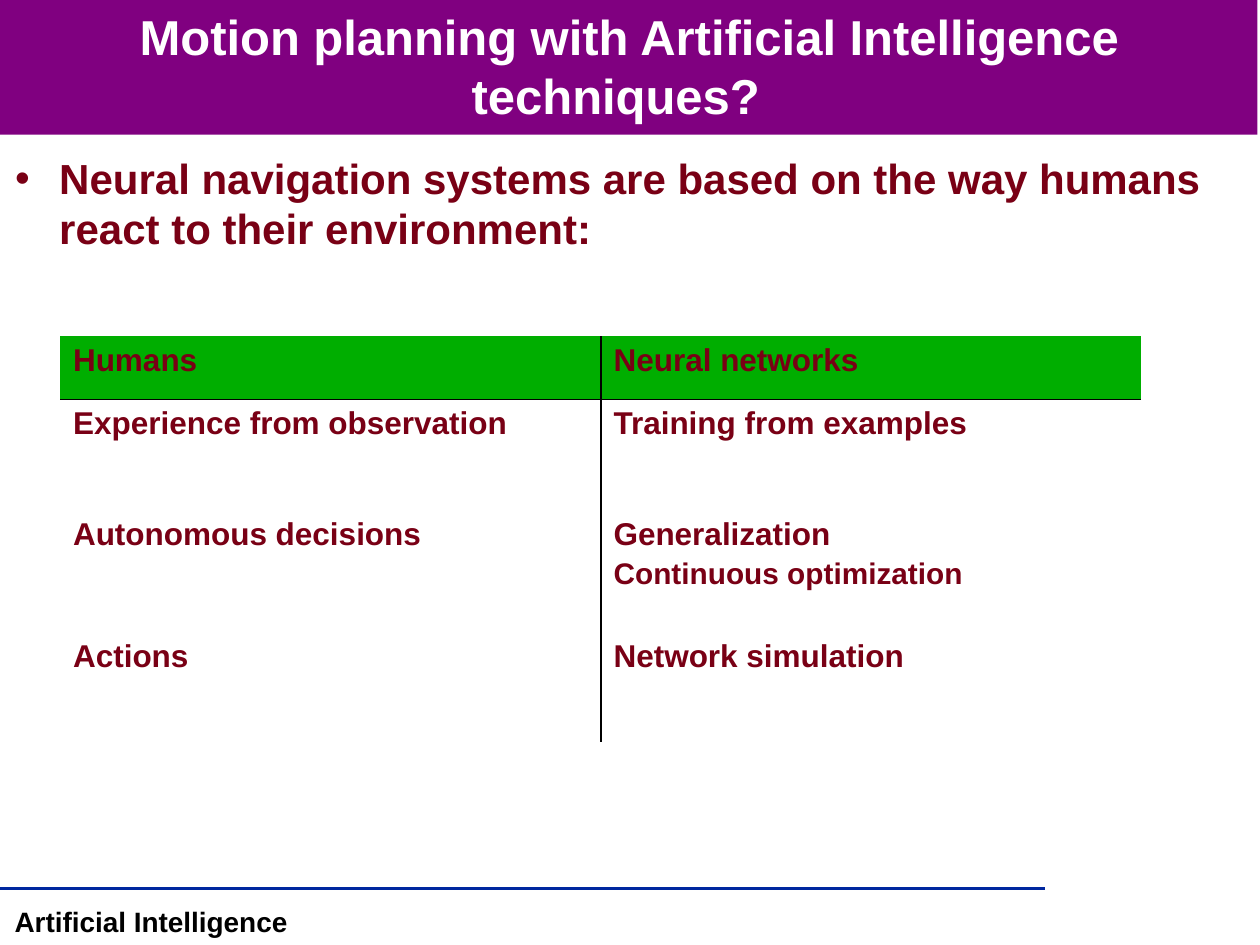
from lxml.etree import SubElement
from pptx import Presentation
from pptx.dml.color import RGBColor
from pptx.enum.shapes import MSO_CONNECTOR, MSO_SHAPE
from pptx.enum.text import MSO_ANCHOR, MSO_AUTO_SIZE, PP_ALIGN
from pptx.oxml.ns import qn
from pptx.util import Inches, Pt

PURPLE, MAROON, GREEN = "800080", "790015", "00AE00"
BLUE, BLACK, WHITE = "00279F", "000000", "FFFFFF"


def rgb(hex_color):
    return RGBColor.from_string(hex_color)


def box(*lengths):
    return [Inches(length) for length in lengths]


class SlideBuilder:
    font_name = "Arial"

    def __init__(self, slide):
        self.slide = slide

    def add_text(self, paragraph, text, size, color, **layout):
        run = paragraph.add_run()
        run.text = text
        font_format = {"name": self.font_name, "size": Pt(size), "bold": True}
        for key, value in font_format.items():
            setattr(run.font, key, value)
        run.font.color.rgb = rgb(color)
        for key, value in layout.items():
            setattr(paragraph, key, value)

    def band(self, bounds, color):
        """Add a filled strip behind everything else."""
        strip = self.slide.shapes.add_shape(MSO_SHAPE.RECTANGLE, *box(*bounds))
        strip.shadow.inherit = False
        strip.fill.solid()
        strip.fill.fore_color.rgb = rgb(color)
        strip.line.fill.background()
        self.slide.shapes._spTree.insert(2, strip._element)

    def rule(self, start, end, color, width):
        line = self.slide.shapes.add_connector(MSO_CONNECTOR.STRAIGHT, *box(*start, *end))
        line.line.color.rgb = rgb(color)
        line.line.width = Pt(width)
        SubElement(line._element.spPr, qn("a:effectLst"))

    def footer(self, bounds, text):
        label = self.slide.shapes.add_textbox(*box(*bounds))
        label.text_frame.word_wrap = False
        self.add_text(label.text_frame.paragraphs[0], text, 16, BLACK,
                      alignment=PP_ALIGN.CENTER)

    def placeholder(self, index, bounds, anchor):
        """Move a template placeholder and return its first paragraph."""
        holder = self.slide.placeholders[index]
        for key, value in zip(("left", "top", "width", "height"), box(*bounds)):
            setattr(holder, key, value)
        frame = holder.text_frame
        frame_format = {"word_wrap": True, "auto_size": MSO_AUTO_SIZE.NONE,
                        "vertical_anchor": anchor}
        for key, value in frame_format.items():
            setattr(frame, key, value)
        return frame.paragraphs[0]

    def title(self, bounds, text):
        heading = self.placeholder(0, bounds, MSO_ANCHOR.MIDDLE)
        self.add_text(heading, text, 28, WHITE, alignment=PP_ALIGN.CENTER)

    def bullet(self, bounds, text):
        point = self.placeholder(1, bounds, MSO_ANCHOR.TOP)
        self.add_text(point, text, 24, MAROON, space_before=Pt(4.8))
        properties = point._p.get_or_add_pPr()
        properties.set("marL", str(Inches(0.35)))
        properties.set("indent", str(Inches(-0.35)))
        bullet_color = SubElement(properties, qn("a:buClr"))
        SubElement(bullet_color, qn("a:srgbClr"), val=MAROON)
        SubElement(properties, qn("a:buChar"), char="•")

    def borders(self, cell, visible):
        """Draw the visible sides (of L, R, T, B) and hide the others."""
        properties = cell._tc.get_or_add_tcPr()
        for position, side in enumerate("LRTB"):
            edge = properties.makeelement(qn(f"a:ln{side}"), {"w": str(Pt(1))})
            if side in visible:
                fill = SubElement(edge, qn("a:solidFill"))
                SubElement(fill, qn("a:srgbClr"), val=BLACK)
            else:
                SubElement(edge, qn("a:noFill"))
            properties.insert(position, edge)

    def table(self, bounds, row_heights, rows):
        columns = len(rows[0])
        table = self.slide.shapes.add_table(len(rows), columns, *box(*bounds)).table
        table.first_row = table.horz_banding = False
        for row, height in zip(table.rows, row_heights):
            row.height = Inches(height)
        for r, row in enumerate(rows):
            for c, lines in enumerate(row):
                cell = table.cell(r, c)
                if r == 0:
                    cell.fill.solid()
                    cell.fill.fore_color.rgb = rgb(GREEN)
                else:
                    cell.fill.background()
                self.borders(cell, ("R" if c == 0 else "L") + {0: "B", 1: "T"}.get(r, ""))
                for i, (text, size) in enumerate(lines):
                    frame = cell.text_frame
                    paragraph = frame.add_paragraph() if i else frame.paragraphs[0]
                    self.add_text(paragraph, text, size, MAROON, space_before=Pt(size * 0.2))


def main():
    presentation = Presentation()
    presentation.slide_width, presentation.slide_height = box(10, 7.5)
    builder = SlideBuilder(presentation.slides.add_slide(presentation.slide_layouts[1]))

    builder.band((0, 0, 9.98, 1.07), PURPLE)
    builder.rule((0, 7.05), (8.29, 7.05), BLUE, 2)
    builder.footer((0, 7.13, 2.4, 0.37), "Artificial Intelligence")
    builder.title((0.02, 0.01, 9.95, 1.02),
                  "Motion planning with Artificial Intelligence techniques?  ")
    builder.bullet((0.02, 1.16, 9.96, 1.09),
                   "Neural navigation systems are based on the way humans "
                   "react to their environment:")
    comparison = [
        [[("Humans", 18)], [("Neural networks", 18)]],
        [[("Experience from observation", 18)], [("Training from examples", 18)]],
        [[("Autonomous decisions", 18)],
         [("Generalization", 18), ("Continuous optimization", 17)]],
        [[("Actions", 18)], [("Network simulation", 18)]],
    ]
    builder.table((0.48, 2.67, 8.58, 3.22), (0.5, 0.88, 0.97, 0.87), comparison)
    presentation.save("out.pptx")


if __name__ == "__main__":
    main()
